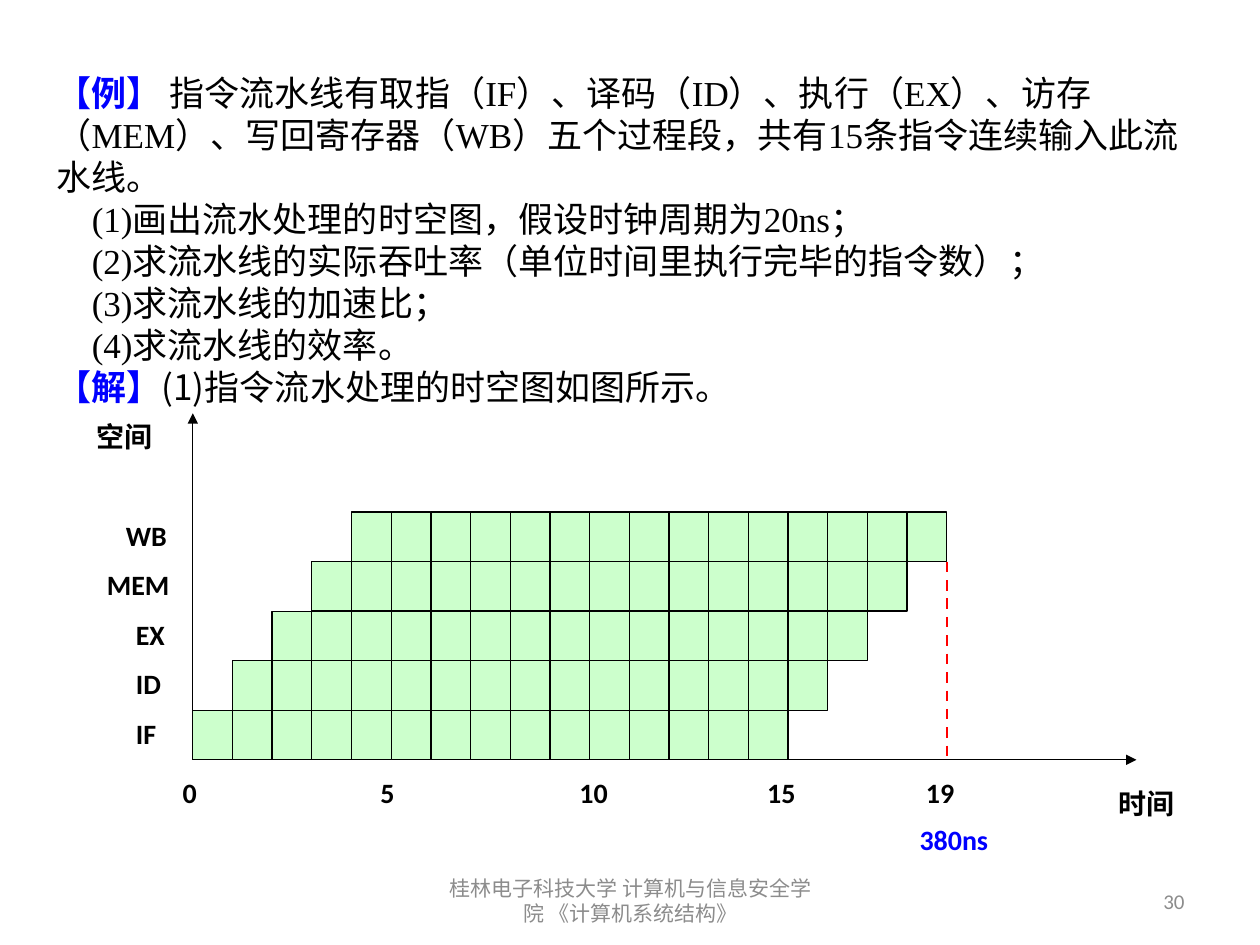
from dataclasses import dataclass

from lxml import etree
from pptx import Presentation
from pptx import util as u
from pptx.dml.color import RGBColor
from pptx.enum import dml, shapes, text
from pptx.oxml.ns import qn


@dataclass(frozen=True)
class Theme:
    black: str = "000000"
    blue: str = "0000FF"
    red: str = "FF0000"
    grey: str = "8C8C8C"
    green: str = "CCFFCC"
    sans: str = "Calibri"
    serif: str = "Times New Roman"
    chinese: str = "Noto Sans CJK SC"
    body_size: int = 20
    label_size: int = 16
    footer_size: int = 12
    thin: float = 0.75
    thick: float = 1.5


class PageBuilder:
    def __init__(self, page, theme):
        self.page = page
        self.theme = theme

    def text_box(self, left, top, width, height):
        box = self.page.shapes.add_textbox(*map(u.Inches, (left, top, width, height)))
        box.text_frame.word_wrap = True
        return box.text_frame

    def span(self, para, words, size, font, color, bold=False):
        span = para.add_run()
        span.text = words
        span.font.size = u.Pt(size)
        span.font.name = font
        span.font.bold = bold
        span.font.color.rgb = RGBColor.from_string(color)

    def label(self, words, left, top, width=0.79, color=None):
        frame = self.text_box(left, top, width, 0.37)
        self.span(frame.paragraphs[0], words, self.theme.label_size,
                  self.theme.sans, color or self.theme.black, bold=True)
        return frame

    def footer(self, words, left, width, align):
        frame = self.text_box(left, 6.95, width, 0.4)
        frame.vertical_anchor = text.MSO_ANCHOR.MIDDLE
        frame.paragraphs[0].alignment = align
        self.span(frame.paragraphs[0], words, self.theme.footer_size,
                  self.theme.sans, self.theme.grey)

    def line(self, start, end, color, weight, arrow=False, dashed=False):
        line = self.page.shapes.add_connector(
            shapes.MSO_CONNECTOR.STRAIGHT, *map(u.Inches, (*start, *end)))
        line.line.color.rgb = RGBColor.from_string(color)
        line.line.width = u.Pt(weight)
        if dashed:
            line.line.dash_style = dml.MSO_LINE.DASH
        properties = line._element.spPr
        if arrow:
            etree.SubElement(properties.find(qn("a:ln")), qn("a:tailEnd"), type="triangle")
        etree.SubElement(properties, qn("a:effectLst"))

    def cell_row(self, left, top, count, width, height):
        row = self.page.shapes.add_group_shape()
        for index in range(count):
            cell = row.shapes.add_shape(
                shapes.MSO_SHAPE.RECTANGLE,
                *map(u.Inches, (left + index * width, top, width, height)))
            cell.shadow.inherit = False
            cell.fill.solid()
            cell.fill.fore_color.rgb = RGBColor.from_string(self.theme.green)
            cell.line.color.rgb = RGBColor.from_string(self.theme.black)
            cell.line.width = u.Pt(self.theme.thin)


def add_problem(builder):
    theme = builder.theme
    frame = builder.text_box(0.35, 0.52, 9.21, 2.77)
    tasks = (
        "(1)画出流水处理的时空图，假设时钟周期为20ns；",
        "(2)求流水线的实际吞吐率（单位时间里执行完毕的指令数）；",
        "(3)求流水线的加速比；",
        "(4)求流水线的效率。",
    )
    question = frame.paragraphs[0]
    builder.span(question, "【例】\u2002".replace("\u2002", " "), theme.body_size,
                 theme.serif, theme.blue, bold=True)
    builder.span(
        question,
        "指令流水线有取指（IF）、译码（ID）、执行（EX）、访存（MEM）、"
        "写回寄存器（WB）五个过程段，共有15条指令连续输入此流水线。",
        theme.body_size, theme.serif, theme.black)
    for task in tasks:
        para = frame.add_paragraph()
        para._p.get_or_add_pPr().set("indent", str(u.Inches(0.28)))
        builder.span(para, task, theme.body_size, theme.serif, theme.black)
    answer = frame.add_paragraph()
    builder.span(answer, "【解】", theme.body_size, theme.chinese, theme.blue, bold=True)
    builder.span(answer, "(1)指令流水处理的时空图如图所示。", theme.body_size,
                 theme.chinese, theme.black)


def add_diagram(builder):
    theme = builder.theme
    origin_x, origin_y = 1.53, 6.03
    cycle, row_height, instructions = 0.315, 0.393, 15
    origin = (origin_x, origin_y)
    builder.line(origin, (9.02, origin_y), theme.black, theme.thin, arrow=True)
    builder.line(origin, (origin_x, 3.28), theme.black, theme.thin, arrow=True)
    builder.label("空间", 0.67, 3.28)
    builder.label("时间", 8.78, 6.19)

    stages = (("IF", 0.98), ("ID", 0.98), ("EX", 0.98), ("MEM", 0.75), ("WB", 0.9))
    for stage, (name, label_left) in enumerate(stages):
        top = origin_y - (stage + 1) * row_height
        builder.label(name, label_left, top)
        builder.cell_row(origin_x + stage * cycle, top, instructions, cycle, row_height)

    total_cycles = instructions + len(stages) - 1
    finish = origin_x + total_cycles * cycle
    builder.line((finish, origin_y - 4 * row_height), (finish, origin_y),
                 theme.red, theme.thick, dashed=True)

    for tick, left in ((0, 1.35), (5, 2.92), (10, 4.5), (15, 5.99), (total_cycles, 7.25)):
        builder.label(str(tick), left, 6.11, width=0.55)
    builder.label("380ns", 7.2, 6.48, width=1.02, color=theme.blue)


def main():
    deck = Presentation()
    deck.slide_width, deck.slide_height = u.Inches(10), u.Inches(7.5)
    page = deck.slides.add_slide(deck.slide_layouts[6])
    builder = PageBuilder(page, Theme())
    add_problem(builder)
    add_diagram(builder)
    builder.footer("30", 7.17, 2.33, text.PP_ALIGN.RIGHT)
    builder.footer("桂林电子科技大学 计算机与信息安全学院 《计算机系统结构》",
                   3.42, 3.17, text.PP_ALIGN.CENTER)
    deck.save("out.pptx")


if __name__ == "__main__":
    main()
